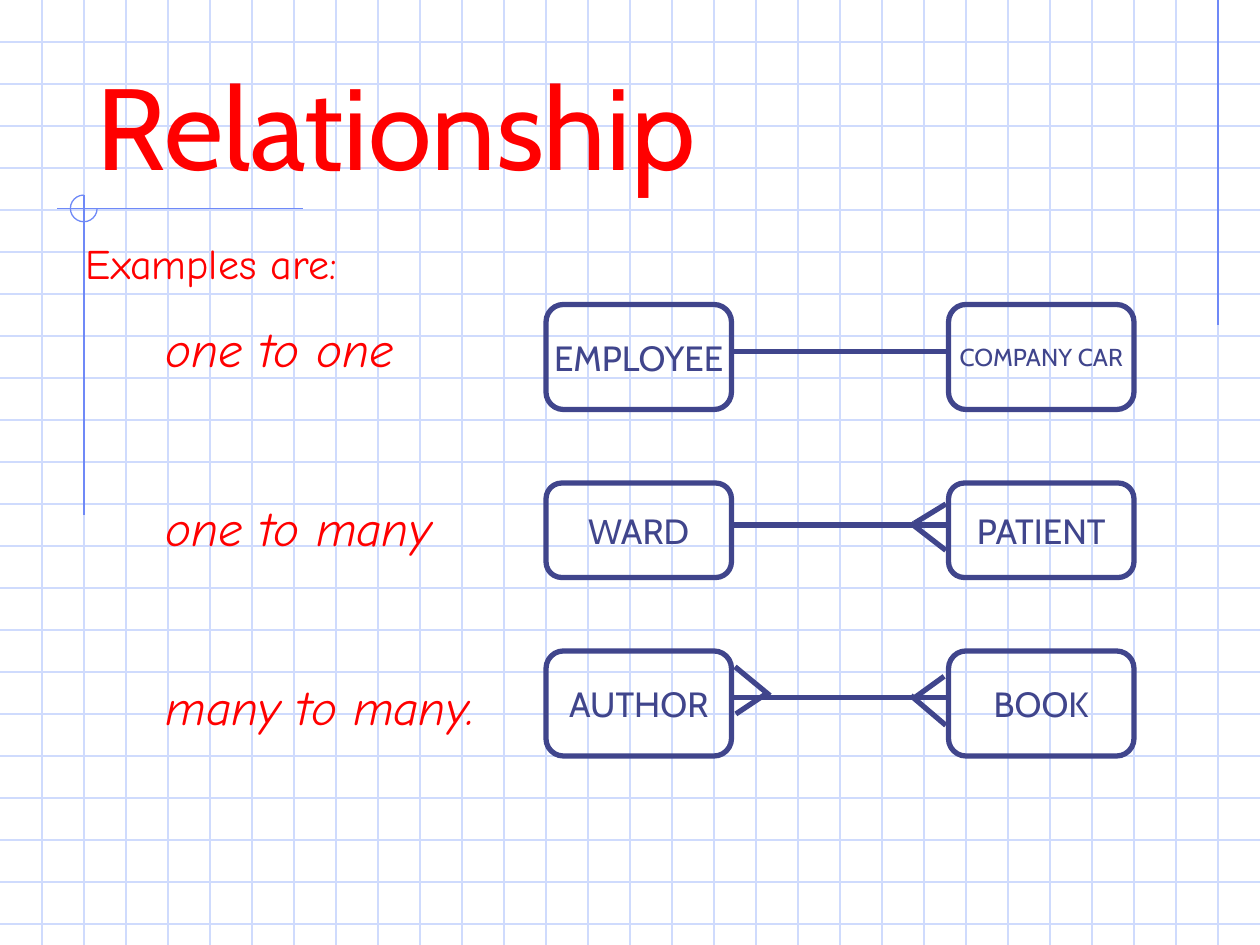
import pptx
import pptx.dml.color
import pptx.enum.shapes
import pptx.enum.text
import pptx.oxml
import pptx.oxml.ns
import pptx.util

Pt = pptx.util.Pt
RGBColor = pptx.dml.color.RGBColor
MSO_SHAPE = pptx.enum.shapes.MSO_SHAPE
PP_ALIGN = pptx.enum.text.PP_ALIGN
MSO_ANCHOR = pptx.enum.text.MSO_ANCHOR

RED = RGBColor(0xFF, 0x00, 0x00)
INDIGO = RGBColor(0x40, 0x45, 0x8C)
GRID_BLUE = RGBColor(0xCF, 0xDB, 0xFD)
ACCENT_BLUE = RGBColor(0x6F, 0x89, 0xF7)

SLIDE_WIDTH, SLIDE_HEIGHT, GRID_STEP = 720, 540, 24
LEFT_COLUMN, RIGHT_COLUMN, ENTITY_WIDTH = 312, 542, 106

ACCENT_LINES = [
    (696, 0, 696, 186),
    (173, 119.25, 32.5, 119.25),
    (48, 111.5, 48, 294.5),
]
KINDS = ["one to one", "one to many", "many to many."]

# Left name, right name, right text size, top, height, line position, crow's feet
RELATIONSHIPS = [
    ("EMPLOYEE", "COMPANY CAR", 14, 174, 60, 201, []),
    ("WARD", "PATIENT", 20, 276, 54, 300, [
        (520.5, 299, 540.5, 314.5),
        (522.5, 299, 540.5, 288),
    ]),
    ("AUTHOR", "BOOK", 20, 372, 60, 398.75, [
        (520.5, 397.5, 540.5, 414.5),
        (521.5, 399.5, 539.5, 386.5),
        (420, 381, 440, 397.5),
        (420.5, 408, 438.5, 396),
    ]),
]


def set_font(paragraph, **values):
    color = values.pop("color")
    for name, value in values.items():
        setattr(paragraph.font, name, value)
    paragraph.font.color.rgb = color


def add_line(slide, ends, color, width):
    line = slide.shapes.add_connector(
        pptx.enum.shapes.MSO_CONNECTOR.STRAIGHT, *map(Pt, ends))
    line.line.color.rgb = color
    line.line.width = Pt(width)
    line.element.spPr.append(pptx.oxml.parse_xml(
        f"<a:effectLst {pptx.oxml.ns.nsdecls('a')}/>"))


def add_outline(slide, preset, bounds, color, width):
    shape = slide.shapes.add_shape(preset, *map(Pt, bounds))
    shape.shadow.inherit = False
    shape.fill.background()
    shape.line.color.rgb = color
    shape.line.width = Pt(width)
    return shape


def add_background(slide):
    for y in range(GRID_STEP, SLIDE_HEIGHT, GRID_STEP):
        add_line(slide, (0, y, SLIDE_WIDTH, y), GRID_BLUE, 0.75)
    for x in range(GRID_STEP, SLIDE_WIDTH, GRID_STEP):
        add_line(slide, (x, 0, x, SLIDE_HEIGHT), GRID_BLUE, 0.75)
    for ends in ACCENT_LINES:
        add_line(slide, ends, ACCENT_BLUE, 0.75)
    ring = add_outline(slide, MSO_SHAPE.ARC, (40.25, 111.5, 15.25, 15.25),
                       ACCENT_BLUE, 0.75)
    # Three quarters of a turn, clockwise from the right; 162 stands for 270 degrees
    ring.adjustments[0] = 0
    ring.adjustments[1] = 162


def add_title(slide):
    title = slide.shapes.title
    bounds = {"left": 48, "top": 24, "width": 612, "height": 90}
    for name, value in bounds.items():
        setattr(title, name, Pt(value))
    frame = title.text_frame
    frame.text = "Relationship"
    frame.auto_size = pptx.enum.text.MSO_AUTO_SIZE.NONE
    frame.vertical_anchor = MSO_ANCHOR.BOTTOM
    paragraph = frame.paragraphs[0]
    paragraph.alignment = PP_ALIGN.LEFT
    set_font(paragraph, name="Cabin", size=Pt(66), color=RED)
    # Bring the title in front of the grid
    slide.shapes.element.append(title.element)


def add_examples(slide):
    box = slide.shapes.add_textbox(Pt(42), Pt(132), Pt(282), Pt(342))
    frame = box.text_frame
    frame.word_wrap = True
    heading = frame.paragraphs[0]
    heading.text = "Examples are:"
    set_font(heading, name="Comic Neue", size=Pt(24), color=RED)
    for index, kind in enumerate(KINDS):
        paragraph = frame.add_paragraph()
        paragraph.text = kind
        paragraph.space_before = Pt(68.65 if index else 17.5)
        paragraph._p.get_or_add_pPr().set("marL", str(Pt(45.5)))
        set_font(paragraph, name="Comic Neue", size=Pt(28), italic=True, color=RED)


def add_entity(slide, name, size, left, top, height):
    entity = add_outline(slide, MSO_SHAPE.FLOWCHART_ALTERNATE_PROCESS,
                         (left, top, ENTITY_WIDTH, height), INDIGO, 3)
    frame = entity.text_frame
    frame.text = name
    frame.word_wrap = False
    frame.vertical_anchor = MSO_ANCHOR.MIDDLE
    paragraph = frame.paragraphs[0]
    paragraph.alignment = PP_ALIGN.CENTER
    set_font(paragraph, name="Cabin", size=Pt(size), color=INDIGO)


def add_relationship(slide, left_name, right_name, right_size, top, height,
                     line_y, crow_feet):
    add_entity(slide, left_name, 20, LEFT_COLUMN, top, height)
    add_entity(slide, right_name, right_size, RIGHT_COLUMN, top, height)
    link = (LEFT_COLUMN + ENTITY_WIDTH, line_y, RIGHT_COLUMN, line_y)
    for ends in [link, *crow_feet]:
        add_line(slide, ends, INDIGO, 3)


def main():
    presentation = pptx.Presentation()
    presentation.slide_width = Pt(SLIDE_WIDTH)
    presentation.slide_height = Pt(SLIDE_HEIGHT)
    slide = presentation.slides.add_slide(presentation.slide_layouts[5])
    add_background(slide)
    add_title(slide)
    add_examples(slide)
    for relationship in RELATIONSHIPS:
        add_relationship(slide, *relationship)
    presentation.save("out.pptx")


if __name__ == "__main__":
    main()
